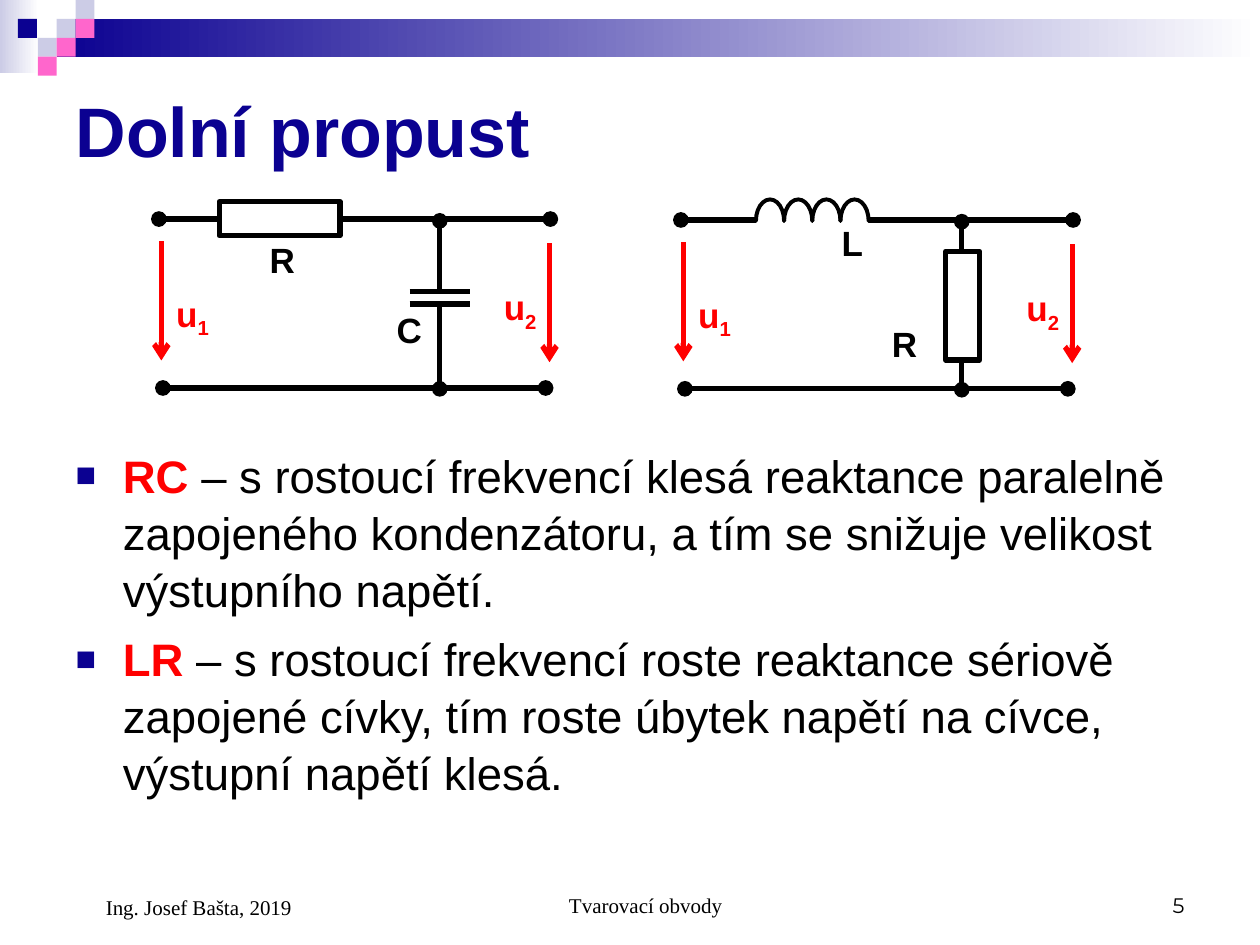
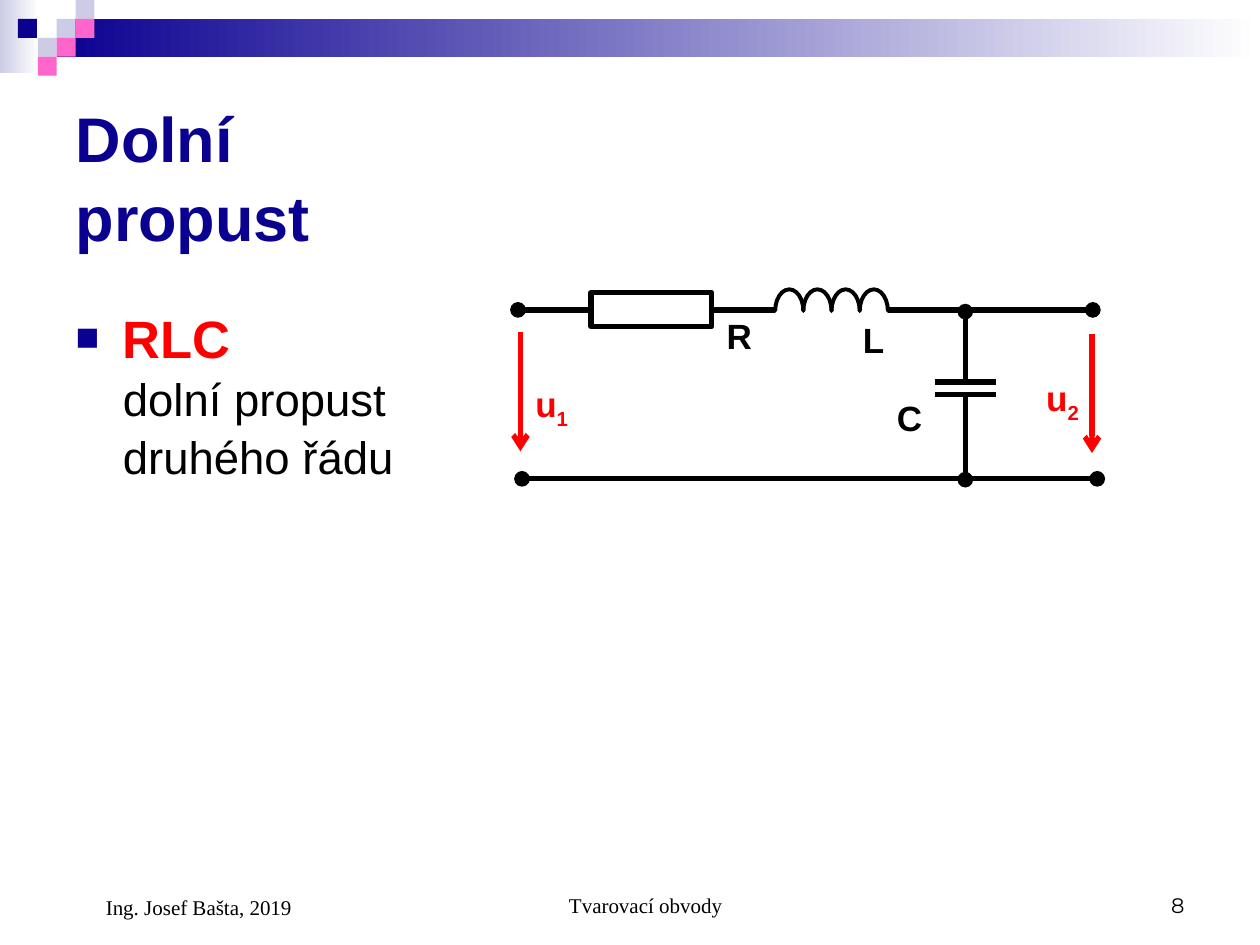
from copy import deepcopy

from lxml import etree
from pptx import Presentation
from pptx import util as u
from pptx.dml import color
from pptx.enum import shapes, text
from pptx.oxml import ns

Pt = u.Pt
paint = color.RGBColor.from_string

NAVY, LAVENDER, PINK = "0B0191", "CCCCE6", "FF66CC"
RED, BLACK, WHITE = "FF0000", "000000", "FFFFFF"


def add_span(para, words, size, colour, bold=False, font="Arial"):
    span = para.add_run()
    span.text = words
    span.font.name = font
    span.font.size = Pt(size)
    span.font.bold = bold
    span.font.color.rgb = paint(colour)
    return span


def add_wire(page, x1, y1, x2, y2, colour=BLACK, start=None, end=None):
    wire = page.shapes.add_connector(
        shapes.MSO_CONNECTOR.STRAIGHT, Pt(x1), Pt(y1), Pt(x2), Pt(y2))
    wire.line.width = Pt(3)
    wire.line.color.rgb = paint(colour)
    for tag, kind in (("a:headEnd", start), ("a:tailEnd", end)):
        if kind:
            etree.SubElement(wire.line._ln, ns.qn(tag), type=kind)
    etree.SubElement(wire._element.spPr, ns.qn("a:effectLst"))


deck = Presentation()
deck.slide_width, deck.slide_height = Pt(720), Pt(540)

# Shared header: two fading bands and a mosaic of squares
bands = [(0, 0, 22.3, 41.8, LAVENDER), (32.4, 10.8, 687.6, 21.6, NAVY)]
SQUARE = 10.8
mosaic = [(3, 1, LAVENDER), (4, 0, LAVENDER), (4, 1, PINK), (2, 2, LAVENDER),
          (0.95, 1, NAVY), (3, 2, PINK), (2, 3, PINK)]

# Shared footer: left, top, width, height, left margin, alignment, font
footers = [
    (246.2, 491.8, 228.2, 36, 24.5, text.PP_ALIGN.CENTER, "Times New Roman"),
    (516.2, 491.8, 167.8, 36, 7.2, text.PP_ALIGN.RIGHT, "Montserrat"),
    (36, 491.8, 167.8, 37.4, 24.5, text.PP_ALIGN.LEFT, "Times New Roman"),
]

# Each list item is a red term, then plain text, with or without a line break
slides = [
    dict(number="5", title_size=40, title_at=(36, 36, 648, 74.2),
         list_at=(36, 250.6, 648, 225.4), term_size=26, line_break=False,
         items=[
             ("RC", " – s rostoucí frekvencí klesá reaktance paralelně "
                    "zapojeného kondenzátoru, a tím se snižuje velikost "
                    "výstupního napětí."),
             ("LR", " – s rostoucí frekvencí roste reaktance sériově "
                    "zapojené cívky, tím roste úbytek napětí na cívce, "
                    "výstupní napětí klesá.")],
         circuits=[
             dict(left=92.2, top=125.2, width=221.8, bottom_end=-2.2,
                  series=[("resistor", 125.3)],
                  branch=("capacitor", 251.3),
                  labels=[("R", 147, 132.5), ("C", 219.6, 172.8)]),
             dict(left=390.5, top=125.7, width=222.2, bottom_end=-2.5,
                  series=[("coil", 432)],
                  branch=("resistor", 549.6),
                  labels=[("R", 502.6, 180.7), ("L", 473.8, 123.1)])]),
    dict(number="8", title_size=36, title_at=(36, 36, 201.6, 128.2),
         list_at=(36, 169.2, 252, 134.6), term_size=30, line_break=True,
         items=[("RLC", "dolní propust druhého řádu")],
         circuits=[
             dict(left=297.4, top=177.1, width=326.6, bottom_end=3,
                  series=[("resistor", 337.7), ("coil", 443)],
                  branch=("capacitor", 551.6),
                  labels=[("L", 486, 178.6), ("C", 505.4, 223.2),
                          ("R", 408.2, 176.4)])]),
]

RESISTOR_LONG, RESISTOR_THICK = 69.1, 19.4
TURN, TURNS = 16.1, 4

for content in slides:
    page = deck.slides.add_slide(deck.slide_layouts[1])

    # Header
    for left, top, width, height, colour in bands:
        band = page.shapes.add_shape(shapes.MSO_SHAPE.RECTANGLE, Pt(left),
                                     Pt(top), Pt(width), Pt(height))
        band.shadow.inherit = False
        band.line.fill.background()
        band.fill.gradient()
        band.fill.gradient_angle = 0
        for stop, shade in zip(band.fill.gradient_stops, (colour, WHITE)):
            stop.color.rgb = paint(shade)
    for column, row, colour in mosaic:
        square = page.shapes.add_shape(
            shapes.MSO_SHAPE.RECTANGLE, Pt(column * SQUARE), Pt(row * SQUARE),
            Pt(SQUARE), Pt(SQUARE))
        square.shadow.inherit = False
        square.line.fill.background()
        square.fill.solid()
        square.fill.fore_color.rgb = paint(colour)

    # Title and list placeholders
    title, body = page.shapes.title, page.placeholders[1]
    for box, place, anchor in (
            (title, content["title_at"], text.MSO_ANCHOR.MIDDLE),
            (body, content["list_at"], text.MSO_ANCHOR.TOP)):
        box.left, box.top, box.width, box.height = map(Pt, place)
        box.text_frame.auto_size = text.MSO_AUTO_SIZE.NONE
        box.text_frame.vertical_anchor = anchor
        box.text_frame.word_wrap = True
    para = title.text_frame.paragraphs[0]
    para.alignment = text.PP_ALIGN.LEFT
    para.line_spacing = 1.05
    add_span(para, "Dolní propust", content["title_size"], NAVY, True)

    for index, (term, explanation) in enumerate(content["items"]):
        frame = body.text_frame
        para = frame.add_paragraph() if index else frame.paragraphs[0]
        layout = para._p.get_or_add_pPr()
        layout.set("marL", str(Pt(27)))
        layout.set("indent", str(-Pt(27)))
        bullet_colour = etree.SubElement(layout, ns.qn("a:buClr"))
        etree.SubElement(bullet_colour, ns.qn("a:srgbClr"), val=NAVY)
        etree.SubElement(layout, ns.qn("a:buSzPct"), val="75000")
        etree.SubElement(layout, ns.qn("a:buFont"), typeface="Arial")
        etree.SubElement(layout, ns.qn("a:buChar"), char="■")
        para.line_spacing = 1.05
        para.space_before = Pt(6.5 if index else 0)
        span = add_span(para, term, content["term_size"], RED, True)
        if content["line_break"]:
            para.add_line_break()
            para._p[-1].append(deepcopy(span._r.rPr))
        add_span(para, explanation, 26, BLACK)

    # Circuits
    for circuit in content["circuits"]:
        left, top = circuit["left"], circuit["top"]
        right = left + circuit["width"]
        kind, branch = circuit["branch"]
        resistors = []

        # Series parts and the wires between them
        cursor, dot = left - 1.4, "oval"
        for part, begin in circuit["series"]:
            add_wire(page, cursor, top, begin, top, start=dot)
            if part == "resistor":
                resistors.append((begin, top - 9.9, RESISTOR_LONG,
                                  RESISTOR_THICK))
                cursor = begin + RESISTOR_LONG
            else:
                for turn in range(TURNS):
                    arc = page.shapes.add_shape(
                        shapes.MSO_SHAPE.BLOCK_ARC, Pt(begin + turn * TURN),
                        Pt(top - 11.7), Pt(TURN), Pt(24.5))
                    arc.adjustments[0] = 107.89
                    arc.adjustments[1] = 0.11
                    arc.adjustments[2] = 0
                    arc.shadow.inherit = False
                    arc.fill.background()
                    arc.line.width = Pt(2.25)
                    arc.line.color.rgb = paint(BLACK)
                cursor = begin + TURNS * TURN
            dot = None
        add_wire(page, cursor, top, right + 0.5, top, end="oval")

        # Parallel branch and return wire
        if kind == "capacitor":
            upper, lower = 41.2, 48.5
            for plate in (upper, lower):
                add_wire(page, branch - 17.3, top + plate, branch + 17.3,
                         top + plate)
        else:
            upper, lower = 18, 80
            resistors.append((branch - RESISTOR_THICK / 2 + 0.5, top + upper,
                              RESISTOR_THICK, lower - upper))
        add_wire(page, branch, top + 1, branch, top + upper, start="oval")
        add_wire(page, branch, top + lower, branch, top + 97, end="oval")
        add_wire(page, left + 0.9, top + 96.5, right + circuit["bottom_end"],
                 top + 96.5, start="oval", end="oval")

        for place in resistors:
            resistor = page.shapes.add_shape(shapes.MSO_SHAPE.RECTANGLE,
                                             *map(Pt, place))
            resistor.shadow.inherit = False
            resistor.fill.background()
            resistor.line.width = Pt(3)
            resistor.line.color.rgb = paint(BLACK)

        # Voltage arrows and labels
        for x, y in ((left, top + 12.8), (right, top + 13.8)):
            add_wire(page, x, y, x, y + 68, RED, end="arrow")
        voltages = [("u1", left + 1.4, top + 38.2),
                    ("u2", right - 33.2, top + 34.6)]
        for label, x, y in voltages + circuit["labels"]:
            box = page.shapes.add_textbox(Pt(x), Pt(y), Pt(36), Pt(32))
            box.text_frame.word_wrap = True
            para = box.text_frame.paragraphs[0]
            tint = RED if label[0] == "u" else BLACK
            add_span(para, label[0], 20, tint, True)
            if len(label) > 1:
                index_span = add_span(para, label[1], 20, tint, True)
                index_span._r.rPr.set("baseline", "-25000")

    # Footer
    notes = ("Tvarovací obvody", content["number"], "Ing. Josef Bašta, 2019")
    for words, (left, top, width, height, margin, align, font) in zip(
            notes, footers):
        box = page.shapes.add_textbox(Pt(left), Pt(top), Pt(width), Pt(height))
        box.text_frame.word_wrap = True
        box.text_frame.margin_left = Pt(margin)
        box.text_frame.vertical_anchor = text.MSO_ANCHOR.BOTTOM
        para = box.text_frame.paragraphs[0]
        para.alignment = align
        add_span(para, words, 12, BLACK, font=font)

deck.save("out.pptx")
